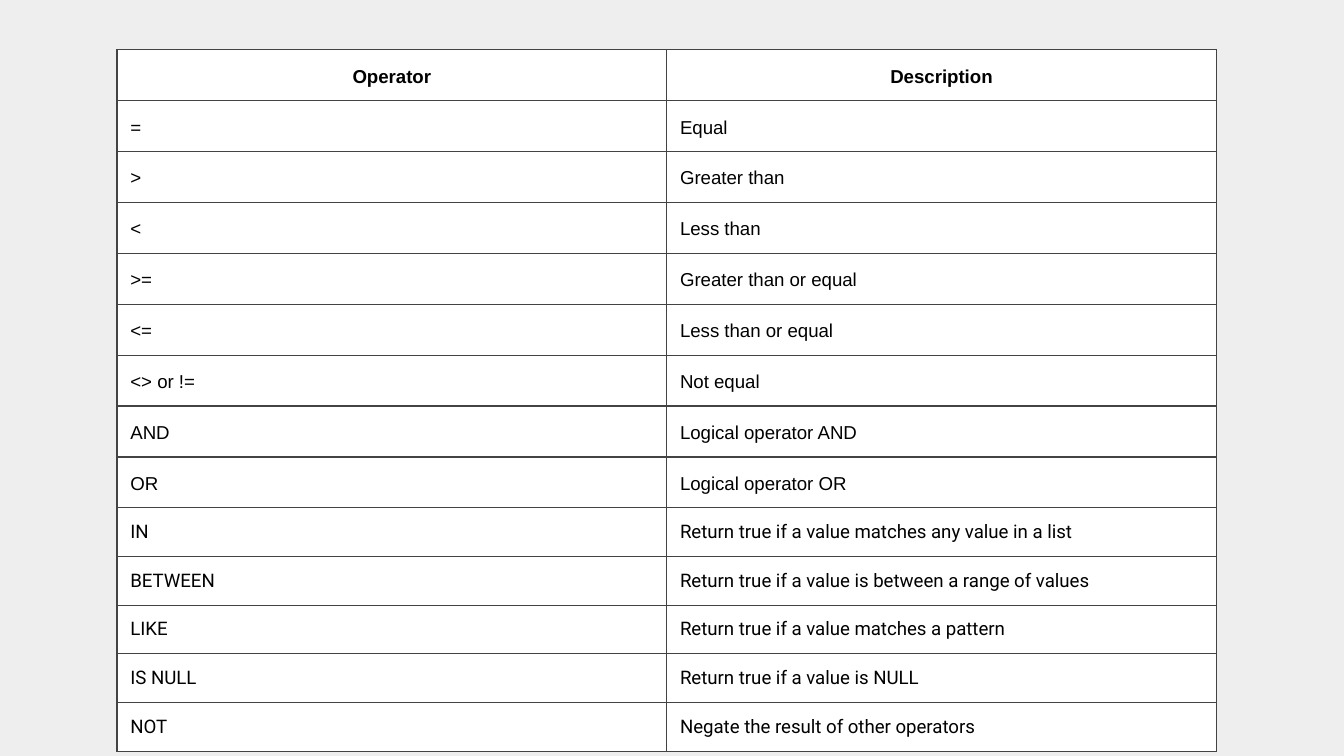
from lxml import etree
from pptx import Presentation
from pptx import util as u
from pptx.dml.color import RGBColor
from pptx.enum import text
from pptx.oxml.ns import qn

HEADERS = ("Operator", "Description")
COMPARISONS = [
    ("=", "Equal"),
    (">", "Greater than"),
    ("<", "Less than"),
    (">=", "Greater than or equal"),
    ("<=", "Less than or equal"),
    ("<> or !=", "Not equal"),
    ("AND", "Logical operator AND"),
    ("OR", "Logical operator OR"),
]
KEYWORDS = [
    ("IN", "Return true if a value matches any value in a list"),
    ("BETWEEN", "Return true if a value is between a range of values"),
    ("LIKE", "Return true if a value matches a pattern"),
    ("IS NULL", "Return true if a value is NULL"),
    ("NOT", "Negate the result of other operators"),
]
COLORS = {"background": "EEEEEE", "cell": "FFFFFF", "border": "434343", "text": "000000"}
SPACED = {"line_spacing": 1.15, "space_after": u.Pt(17)}
FORMATS = {
    "header": {
        "font": {"name": "Arial", "bold": True},
        "paragraph": {**SPACED, "alignment": text.PP_ALIGN.CENTER},
    },
    "comparison": {"font": {"name": "Arial", "bold": False}, "paragraph": SPACED},
    "keyword": {"font": {"name": "Roboto", "bold": False}, "paragraph": {}},
}
ROWS = (
    [("header", HEADERS)]
    + [("comparison", row) for row in COMPARISONS]
    + [("keyword", row) for row in KEYWORDS]
)
SLIDE_WIDTH = u.Inches(10)
SLIDE_HEIGHT = SLIDE_WIDTH * 9 // 16
LEFT, TOP, COLUMN_WIDTH, ROW_HEIGHT = 0.87, 0.37, 4.09, 0.36
MARGIN = u.Inches(0.1)


def apply(target, values):
    for name, value in values.items():
        setattr(target, name, value)


def paint(fill, color):
    fill.solid()
    fill.fore_color.rgb = RGBColor.from_string(COLORS[color])


def add_borders(cell):
    properties = cell._tc.get_or_add_tcPr()
    for index, side in enumerate(("lnL", "lnR", "lnT", "lnB")):
        line = etree.Element(qn(f"a:{side}"), w=str(u.Pt(0.75)))
        fill = etree.SubElement(line, qn("a:solidFill"))
        etree.SubElement(fill, qn("a:srgbClr"), val=COLORS["border"])
        properties.insert(index, line)


def fill_cell(cell, content, style):
    apply(cell, {f"margin_{side}": MARGIN for side in ("left", "right", "top", "bottom")})
    paint(cell.fill, "cell")
    add_borders(cell)
    paragraph = cell.text_frame.paragraphs[0]
    apply(paragraph, style["paragraph"])
    run = paragraph.add_run()
    run.text = content
    apply(run.font, {"size": u.Pt(10), **style["font"]})
    run.font.color.rgb = RGBColor.from_string(COLORS["text"])


def main():
    presentation = Presentation()
    apply(presentation, {"slide_width": SLIDE_WIDTH, "slide_height": SLIDE_HEIGHT})
    slide = presentation.slides.add_slide(presentation.slide_layouts[6])
    paint(slide.background.fill, "background")
    table = slide.shapes.add_table(
        len(ROWS), len(HEADERS), u.Inches(LEFT), u.Inches(TOP),
        u.Inches(COLUMN_WIDTH * len(HEADERS)), u.Inches(ROW_HEIGHT * len(ROWS)),
    ).table
    apply(table, {"first_row": False, "horz_banding": False})
    for row, (kind, contents) in zip(table.rows, ROWS):
        for cell, content in zip(row.cells, contents):
            fill_cell(cell, content, FORMATS[kind])
    presentation.save("out.pptx")


if __name__ == "__main__":
    main()
